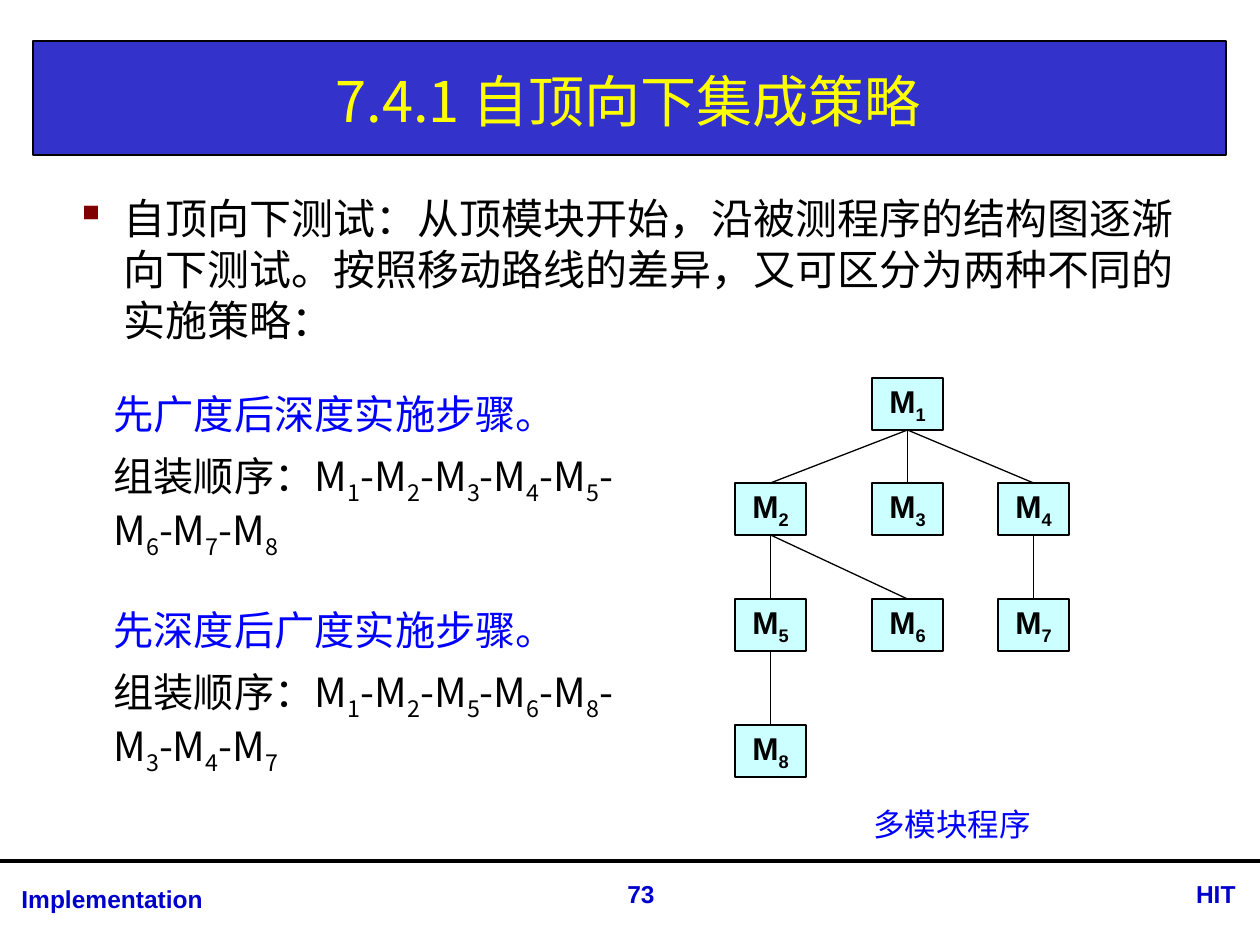
from pptx import Presentation
from pptx.dml.color import RGBColor
from pptx.enum.shapes import MSO_CONNECTOR, MSO_SHAPE
from pptx.enum.text import MSO_ANCHOR, PP_ALIGN
from pptx.oxml.ns import qn
from pptx.util import Pt
from lxml import etree

PX = 914400 / 126
LEFT, CENTER, RIGHT = PP_ALIGN.LEFT, PP_ALIGN.CENTER, PP_ALIGN.RIGHT
MIDDLE = MSO_ANCHOR.MIDDLE
RECT, STRAIGHT = MSO_SHAPE.RECTANGLE, MSO_CONNECTOR.STRAIGHT
LATIN, CJK = "Arial", "Noto Sans CJK SC"
COLORS = {
    "band": "3333CC", "title": "FFFF00", "footer": "0000CC", "node": "CCFFFF",
    "ink": "000000", "accent": "0000FF", "bullet": "800000",
}
COLORS = {part: RGBColor.from_string(value) for part, value in COLORS.items()}


def px(*lengths):
    return [round(length * PX) for length in lengths]


def write(paragraph, text, size, color, font=CJK, bold=False, align=LEFT, spacing=None):
    """Write text in which an underscore lowers the next character."""
    first, *rest = text.split("_")
    paragraph.add_run().text = first
    for piece in rest:
        subscript = paragraph.add_run()
        subscript.text = piece[0]
        subscript._r.get_or_add_rPr().set("baseline", "-25000")
        if piece[1:]:
            paragraph.add_run().text = piece[1:]
    paragraph.alignment = align
    if spacing:
        paragraph.line_spacing = Pt(spacing)
    style = paragraph.font
    style.size, style.bold, style.name = Pt(size), bold, font
    style.color.rgb = COLORS[color]
    defaults = paragraph._p.pPr.find(qn("a:defRPr"))
    etree.SubElement(defaults, qn("a:ea")).set("typeface", font)


prs = Presentation()
prs.slide_width, prs.slide_height = px(1260, 945)
slide = prs.slides.add_slide(prs.slide_layouts[6])
shapes = slide.shapes

# Title band
band = shapes.add_shape(RECT, *px(33, 41, 1193, 114))
band.shadow.inherit = False
band.fill.solid()
band.fill.fore_color.rgb = COLORS["band"]
band.line.color.rgb = COLORS["ink"]
band.line.width = Pt(0.75)
title = shapes.add_textbox(*px(33, 45, 1191, 110)).text_frame
title.word_wrap = True
title.vertical_anchor = MIDDLE
write(title.paragraphs[0], "7.4.1 自顶向下集成策略", 32, "title", align=CENTER)

# Footer
rule = shapes.add_connector(STRAIGHT, *px(0, 861, 1260, 861))
rule.line.color.rgb = COLORS["ink"]
rule.line.width = Pt(2.25)
etree.SubElement(rule._element.spPr, qn("a:effectLst"))
for text, left, top, width, align in [
    ("Implementation", 9, 878, 485, LEFT),
    ("73", 576, 873, 130, CENTER),
    ("HIT", 1118, 873, 130, RIGHT),
]:
    footer = shapes.add_textbox(*px(left, top, width, 43)).text_frame
    footer.word_wrap = True
    write(footer.paragraphs[0], text, 14, "footer", LATIN, True, align)

# Definition with a square bullet
definition = shapes.add_textbox(*px(63, 186, 1134, 165)).text_frame
definition.word_wrap = True
paragraph = definition.paragraphs[0]
properties = paragraph._p.get_or_add_pPr()
indent = px(48)[0]
properties.set("marL", str(indent))
properties.set("indent", str(-indent))
bullet_color = etree.SubElement(properties, qn("a:buClr"))
etree.SubElement(bullet_color, qn("a:srgbClr")).set("val", str(COLORS["bullet"]))
etree.SubElement(properties, qn("a:buChar")).set("char", "▪")
write(
    paragraph,
    "自顶向下测试：从顶模块开始，沿被测程序的结构图逐渐向下测试。"
    "按照移动路线的差异，又可区分为两种不同的实施策略：",
    24, "ink", spacing=29,
)

# Two strategies with their assembly orders
for top, heading, order in [
    (377, "先广度后深度实施步骤。", "12345678"),
    (593, "先深度后广度实施步骤。", "12568347"),
]:
    strategy = shapes.add_textbox(*px(101, top, 557, 181)).text_frame
    strategy.word_wrap = True
    write(strategy.paragraphs[0], heading, 23, "accent", spacing=31)
    steps = strategy.add_paragraph()
    steps.space_before = Pt(8)
    sequence = "-".join(f"M_{number}" for number in order)
    write(steps, "组装顺序：" + sequence, 23, "ink", spacing=31)

# Module tree: number -> (column, row)
columns, rows = [735, 872, 998], [378, 483, 599, 725]
places = {1: (1, 0), 2: (0, 1), 3: (1, 1), 4: (2, 1),
          5: (0, 2), 6: (1, 2), 7: (2, 2), 8: (0, 3)}
modules = {}
for number, (column, row) in places.items():
    module = shapes.add_shape(RECT, *px(columns[column], rows[row], 71, 52))
    module.shadow.inherit = False
    module.fill.solid()
    module.fill.fore_color.rgb = COLORS["node"]
    module.line.color.rgb = COLORS["ink"]
    module.line.width = Pt(0.75)
    module.text_frame.vertical_anchor = MIDDLE
    write(module.text_frame.paragraphs[0], f"M_{number}", 18, "ink", LATIN, True, CENTER)
    modules[number] = module

for parent, child in [(1, 2), (1, 3), (1, 4), (2, 5), (2, 6), (4, 7), (5, 8)]:
    call = shapes.add_connector(STRAIGHT, 0, 0, 0, 0)
    call.begin_connect(modules[parent], 2)
    call.end_connect(modules[child], 0)
    call.line.color.rgb = COLORS["ink"]
    call.line.width = Pt(0.75)
    etree.SubElement(call._element.spPr, qn("a:effectLst"))

# Tree caption
caption = shapes.add_textbox(*px(826, 798, 252, 50)).text_frame
caption.word_wrap = True
write(caption.paragraphs[0], "多模块程序", 18, "accent", align=CENTER, spacing=22)

prs.save("out.pptx")
